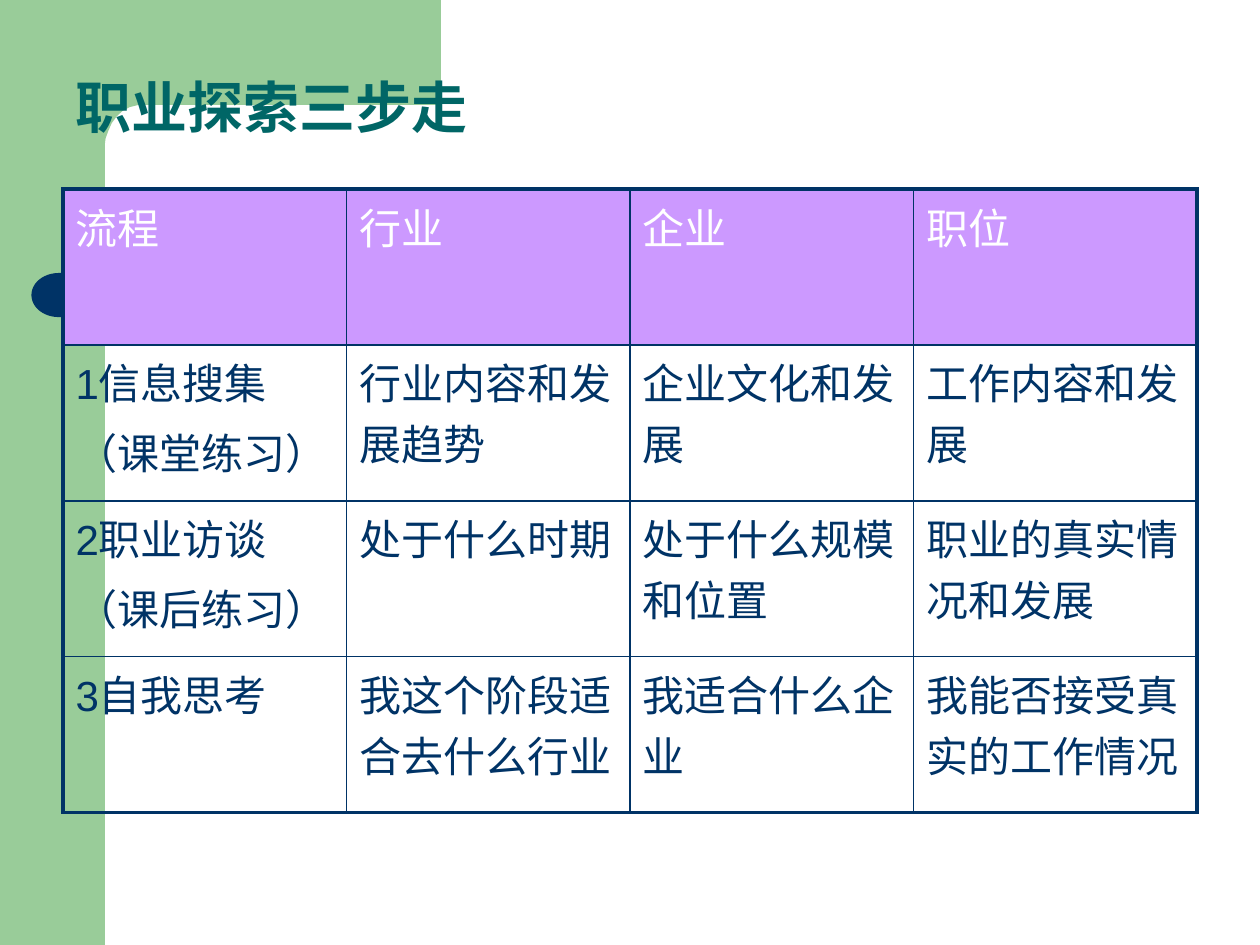
from pptx import Presentation
from pptx.util import Pt
from pptx.dml.color import RGBColor
from pptx.enum.shapes import MSO_SHAPE
from pptx.enum.text import MSO_ANCHOR
from pptx.oxml.ns import qn
from lxml.etree import SubElement

GREEN = RGBColor(0x99, 0xCC, 0x99)
NAVY = RGBColor(0x00, 0x33, 0x66)
TEAL = RGBColor(0x00, 0x66, 0x66)
LILAC = RGBColor(0xCC, 0x99, 0xFF)
WHITE = RGBColor(0xFF, 0xFF, 0xFF)

TITLE = "职业探索三步走"
ROWS = [
    ["流程", "行业", "企业", "职位"],
    ["1信息搜集\n（课堂练习）", "行业内容和发展趋势", "企业文化和发展", "工作内容和发展"],
    ["2职业访谈\n（课后练习）", "处于什么时期", "处于什么规模和位置", "职业的真实情况和发展"],
    ["3自我思考", "我这个阶段适合去什么行业", "我适合什么企业", "我能否接受真实的工作情况"],
]
CORNER = [(36, 0), (252, 0), (252, 60), (83.5, 60), (79.9, 59.8), (74.2, 61.2),
          (70.3, 63.2), (67, 66.2), (63.9, 70.3), (61.9, 74.9), (60.4, 79),
          (59.8, 83.5), (59.8, 92.2), (36, 92.2)]
WIDE, THIN = 2.25, 1
COL, ROW = 162, 89.1


def paint(shape, color):
    shape.shadow.inherit = False
    shape.fill.solid()
    shape.fill.fore_color.rgb = color
    shape.line.fill.background()


def style(para, size, color, bold=False):
    for run in para.runs:
        font = run.font
        font.name, font.size, font.bold = "Arial", Pt(size), bold
        font.color.rgb = color


def border(cell, widths):
    props = cell._tc.get_or_add_tcPr()
    for side, width in zip("LRTB", widths):
        line = SubElement(props, qn("a:ln" + side), w=str(Pt(width)))
        fill = SubElement(line, qn("a:solidFill"))
        SubElement(fill, qn("a:srgbClr"), val=str(NAVY))


deck = Presentation()
deck.slide_width, deck.slide_height = Pt(720), Pt(540)
slide = deck.slides.add_slide(deck.slide_layouts[6])
shapes = slide.shapes

band = shapes.add_shape(MSO_SHAPE.RECTANGLE, 0, 0, Pt(60), Pt(540))
paint(band, GREEN)

start, *rest = [(Pt(x), Pt(y)) for x, y in CORNER]
path = shapes.build_freeform(*start)
path.add_line_segments(rest, close=True)
paint(path.convert_to_shape(), GREEN)

knob = shapes.add_shape(MSO_SHAPE.FLOWCHART_DELAY, Pt(18), Pt(156), Pt(31), Pt(25.2))
paint(knob, NAVY)
knob._element.spPr.find(qn("a:xfrm")).set("flipH", "1")

title = shapes.add_textbox(Pt(36), Pt(36), Pt(630), Pt(48))
frame = title.text_frame
frame.word_wrap = True
frame.vertical_anchor = MSO_ANCHOR.BOTTOM
frame.text = TITLE
frame.paragraphs[0].line_spacing = 0.9
style(frame.paragraphs[0], 32, TEAL, True)

count, last = len(ROWS), len(ROWS[0]) - 1
table = shapes.add_table(count, last + 1, Pt(36), Pt(108),
                         Pt(COL * (last + 1)), Pt(ROW * count)).table
table.first_row = table.horz_banding = False
for col in table.columns:
    col.width = Pt(COL)
for r, texts in enumerate(ROWS):
    table.rows[r].height = Pt(ROW)
    for c, text in enumerate(texts):
        cell = table.cell(r, c)
        edges = (c == 0, c == last, r == 0, r == count - 1)
        border(cell, [WIDE if edge else THIN for edge in edges])
        if r == 0:
            cell.fill.solid()
            cell.fill.fore_color.rgb = LILAC
        else:
            cell.fill.background()
        cell.text_frame.text = text
        for para in cell.text_frame.paragraphs:
            para.space_before = Pt(4.8)
            style(para, 24, NAVY if r else WHITE)

deck.save("out.pptx")
